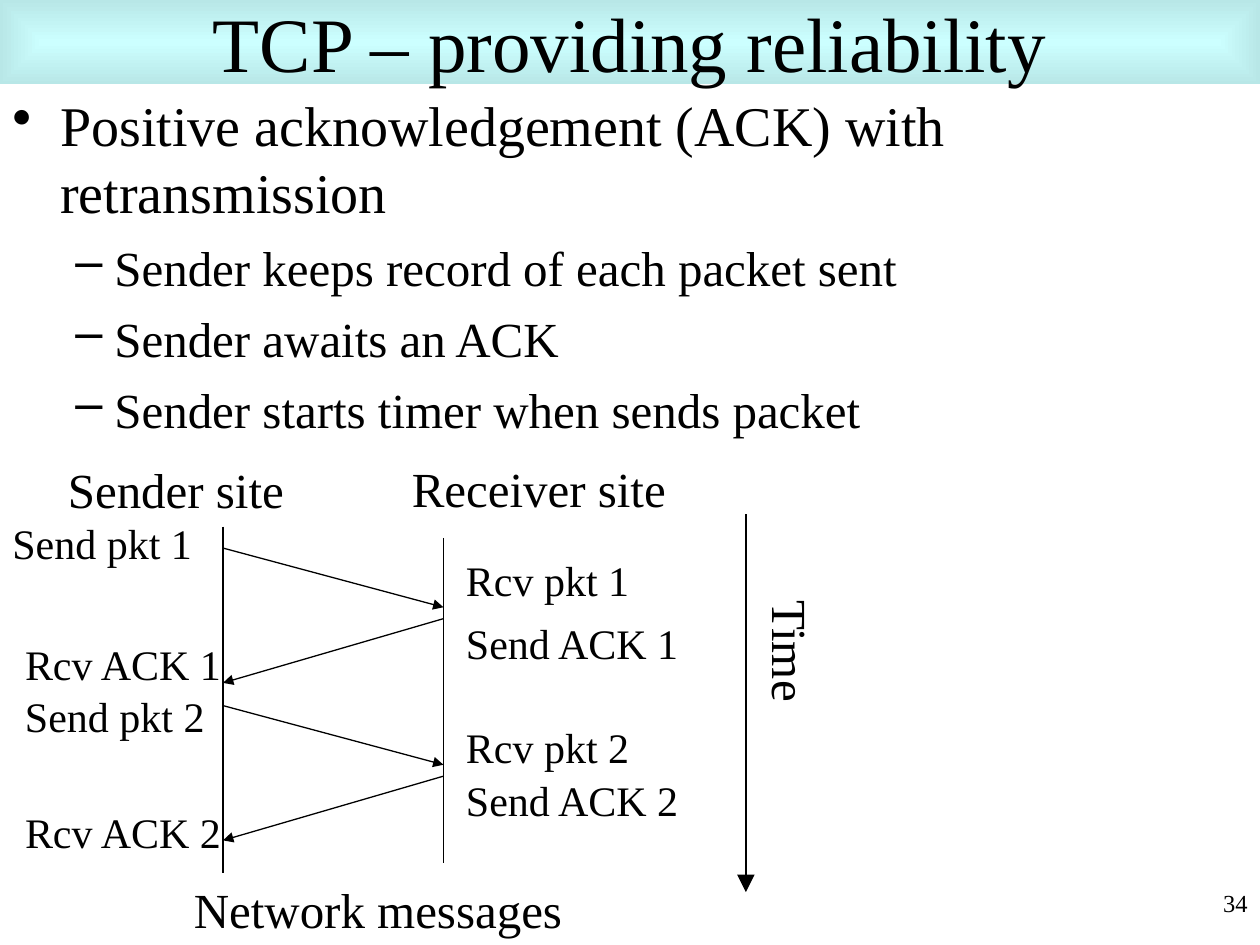
"""Build a slide on TCP reliability with a packet and ACK sequence diagram."""
from lxml import etree
from pptx import Presentation
from pptx.dml.color import RGBColor
from pptx.enum import shapes, text
from pptx.oxml import ns
from pptx.util import Inches, Pt

BLACK = RGBColor(0x00, 0x00, 0x00)
PALE_CYAN = RGBColor(0xCC, 0xFF, 0xFF)
SOFT_TEAL = RGBColor(0xB8, 0xE7, 0xE7)
FONT = "Times New Roman"
SENDER_X, RECEIVER_X, TIME_X = 1.77, 3.52, 5.92


def write(paragraph, words, size, align=text.PP_ALIGN.LEFT):
    paragraph.alignment = align
    run = paragraph.add_run()
    run.text = words
    settings = {"name": FONT, "size": Pt(size)}
    for name, value in settings.items():
        setattr(run.font, name, value)
    run.font.color.rgb = BLACK


def add_line(start, end, width=0.75, head=None):
    points = [Inches(value) for value in (*start, *end)]
    line = slide.shapes.add_connector(shapes.MSO_CONNECTOR.STRAIGHT, *points)
    line.line.color.rgb = BLACK
    line.line.width = Pt(width)
    if head:
        outline = line.line._get_or_add_ln()
        etree.SubElement(outline, ns.qn("a:tailEnd"), type="triangle", w=head, len=head)
    etree.SubElement(line._element.spPr, ns.qn("a:effectLst"))


presentation = Presentation()
presentation.slide_width, presentation.slide_height = Inches(10), Inches(7.5)
slide = presentation.slides.add_slide(presentation.slide_layouts[6])

title = slide.shapes.add_shape(
    shapes.MSO_SHAPE.RECTANGLE, Inches(0), Inches(0), Inches(10), Inches(0.67))
title.shadow.inherit = False
title.line.fill.background()
title.fill.gradient()
for stop, color in zip(title.fill.gradient_stops, (PALE_CYAN, SOFT_TEAL)):
    stop.color.rgb = color
gradient = title._element.spPr.find(ns.qn("a:gradFill"))
gradient.remove(gradient.find(ns.qn("a:lin")))
rectangular = etree.SubElement(gradient, ns.qn("a:path"), path="rect")
etree.SubElement(rectangular, ns.qn("a:fillToRect"),
                 {side: "50000" for side in "ltrb"})
title.text_frame.word_wrap = True
title.text_frame.vertical_anchor = text.MSO_ANCHOR.MIDDLE
write(title.text_frame.paragraphs[0], "TCP – providing reliability", 44,
      text.PP_ALIGN.CENTER)

body = slide.shapes.add_textbox(Inches(0), Inches(0.67), Inches(10), Inches(6.33))
body.text_frame.word_wrap = True
levels = [
    {"bullet": "•", "margin": 0.38, "hanging": 0.38, "size": 32, "before": 8},
    {"bullet": "–", "margin": 0.81, "hanging": 0.31, "size": 28, "before": 7},
]
points = [
    (0, "Positive acknowledgement (ACK) with retransmission"),
    (1, "Sender keeps record of each packet sent"),
    (1, "Sender awaits an ACK"),
    (1, "Sender starts timer when sends packet"),
]
for index, (level, words) in enumerate(points):
    frame = body.text_frame
    paragraph = frame.add_paragraph() if index else frame.paragraphs[0]
    style = levels[level]
    write(paragraph, words, style["size"])
    paragraph.level = level
    paragraph.space_before = Pt(style["before"])
    properties = paragraph._p.get_or_add_pPr()
    properties.set("marL", str(Inches(style["margin"])))
    properties.set("indent", str(-Inches(style["hanging"])))
    etree.SubElement(properties, ns.qn("a:buChar"), char=style["bullet"])

add_line((SENDER_X, 4.18), (SENDER_X, 6.93))
add_line((RECEIVER_X, 4.27), (RECEIVER_X, 6.85))
for round_top in (4.35, 5.6):
    add_line((SENDER_X, round_top), (RECEIVER_X, round_top + 0.47), head="med")
    add_line((RECEIVER_X, round_top + 0.56), (SENDER_X, round_top + 1.07), head="med")
add_line((TIME_X, 4.08), (TIME_X, 7.08), width=1, head="lg")

labels = [
    ("Sender site", 0.44, 3.6, 1.95, 28),
    ("Receiver site", 3.17, 3.59, 2.25, 28),
    ("Send pkt 1", 0, 4.06, 1.66, 24),
    ("Rcv ACK 1", 0.1, 5.02, 1.81, 24),
    ("Send pkt 2", 0.1, 5.43, 1.66, 24),
    ("Rcv ACK 2", 0.1, 6.35, 1.81, 24),
    ("Rcv pkt 1", 3.6, 4.35, 1.53, 24),
    ("Send ACK 1", 3.6, 4.85, 1.94, 24),
    ("Rcv pkt 2", 3.6, 5.68, 1.53, 24),
    ("Send ACK 2", 3.6, 6.1, 1.94, 24),
    ("Network messages", 1.44, 6.93, 3.16, 28),
    ("Time", 5.77, 4.89, 1.02, 28),
]
for words, left, top, width, size in labels:
    height = 0.57 if size == 28 else 0.5
    label = slide.shapes.add_textbox(
        Inches(left), Inches(top), Inches(width), Inches(height))
    label.rotation = 90 if words == "Time" else 0
    label.text_frame.word_wrap = words != "Time"
    label.text_frame.auto_size = text.MSO_AUTO_SIZE.SHAPE_TO_FIT_TEXT
    write(label.text_frame.paragraphs[0], words, size)

number = slide.shapes.add_textbox(Inches(7.92), Inches(7), Inches(2.08), Inches(0.5))
number.text_frame.word_wrap = True
write(number.text_frame.paragraphs[0], "34", 14, text.PP_ALIGN.RIGHT)

presentation.save("out.pptx")
